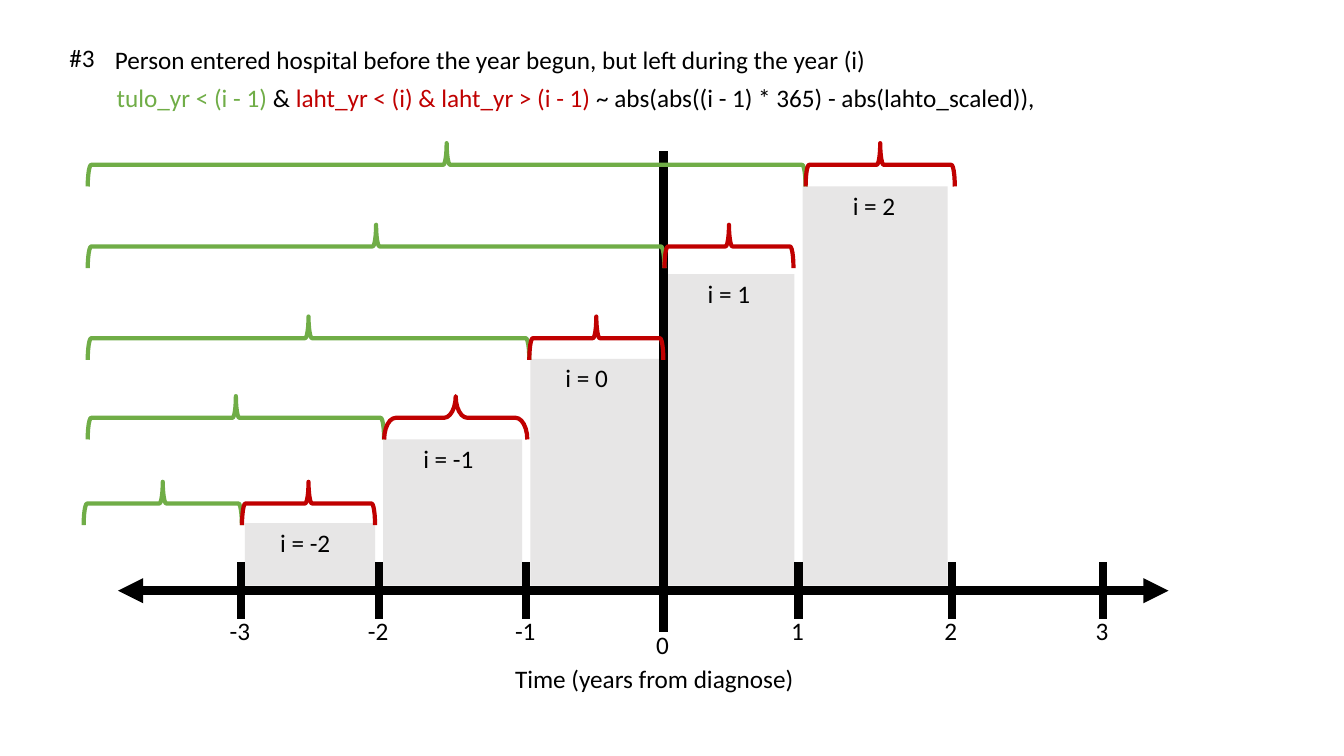
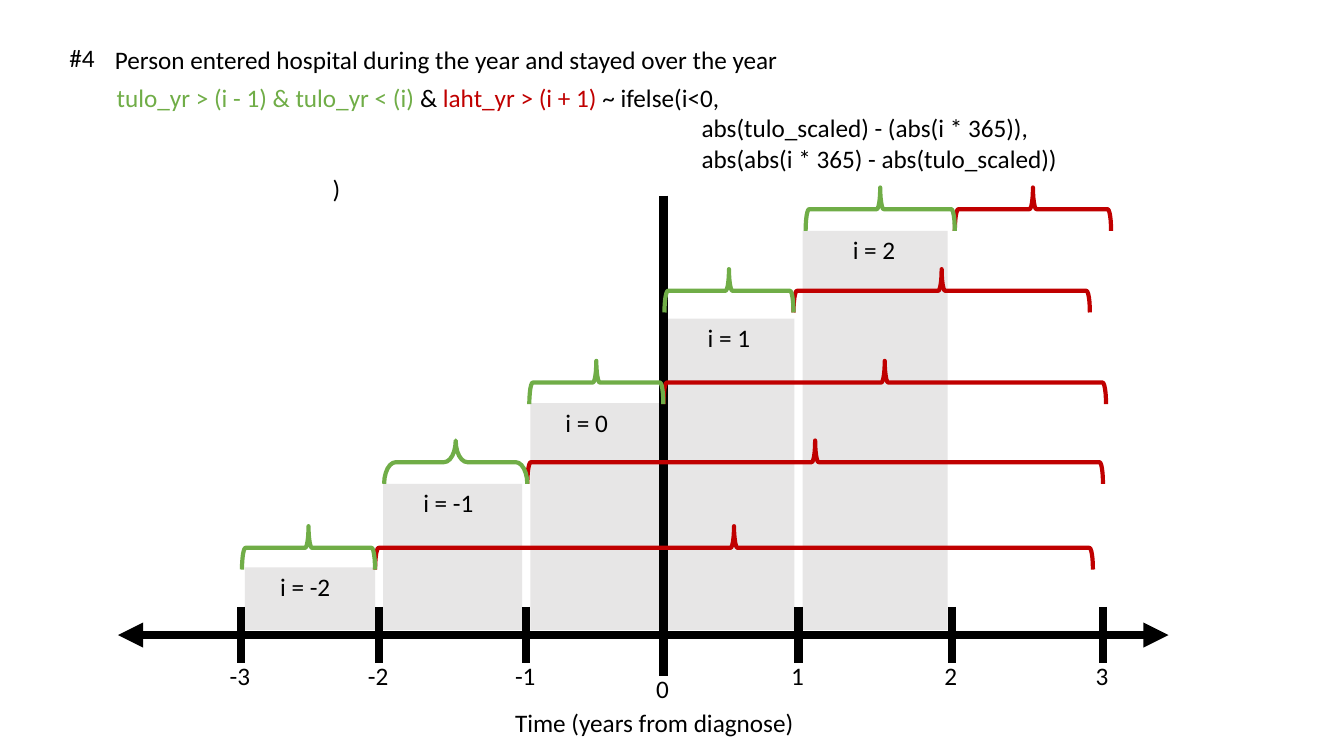
from dataclasses import dataclass

from lxml import etree
from pptx import Presentation
from pptx.dml.color import RGBColor
from pptx.enum.shapes import MSO_CONNECTOR, MSO_SHAPE
from pptx.enum.text import MSO_ANCHOR, MSO_AUTO_SIZE, PP_ALIGN
from pptx.oxml.ns import qn
from pptx.util import Inches, Pt

STRAIGHT = MSO_CONNECTOR.STRAIGHT
RECTANGLE, BRACE = MSO_SHAPE.RECTANGLE, MSO_SHAPE.RIGHT_BRACE
TOP, NO_FIT = MSO_ANCHOR.TOP, MSO_AUTO_SIZE.NONE
LEFT, CENTER = PP_ALIGN.LEFT, PP_ALIGN.CENTER
TITLE_ONLY = 5

COLORS = {"black": "000000", "entered": "70AD47", "left": "C00000", "bar": "E7E6E6"}
FONT = {"name": "Calibri", "size": Pt(18), "bold": False}
FRAME = {"word_wrap": True, "auto_size": NO_FIT, "vertical_anchor": TOP,
         "margin_left": Inches(0.1), "margin_right": Inches(0.1),
         "margin_top": Inches(0.05), "margin_bottom": Inches(0.05)}

# Lengths below are inches from the top left corner of the timeline box.
AXIS_Y, AXIS_LENGTH = 4.36, 10.42
TICKS = {-3: 1.22, -2: 2.59, -1: 4.05, 0: 5.41, 1: 6.75, 2: 8.27, 3: 9.77}
TICK_HALF, ZERO_BELOW = 0.28, 0.41
BAR_GAP, BAR_BOTTOM = 0.04, 4.31
BRACE_HEIGHT = 0.43
LINE_HEIGHT = 0.4


@dataclass
class Year:
    number: int
    bar_top: float
    label_left: float
    brace_top: float
    brace_left: float
    brace_right: float
    curve: float = 0.08


YEARS = [
    Year(-2, 3.69, 1.51, 3.28, 1.23, 2.55),
    Year(-1, 2.86, 2.93, 2.43, 2.64, 4.06, 0.27),
    Year(0, 2.06, 4.34, 1.64, 4.08, 5.41),
    Year(1, 1.22, 5.75, 0.73, 5.42, 6.7),
    Year(2, 0.35, 7.19, -0.08, 6.82, 8.3),
]

# Outer end of the long brace of each year
STAY_STARTS = [-0.34, -0.3, -0.3, -0.3, -0.3]
STAY_ENDS = [9.67, 9.77, 9.8, 9.64, 9.85]

SLIDES = [
    {
        "number": "#3",
        "title": "Person entered hospital before the year begun, but left during the year (i)",
        "formula": [
            (0, [("tulo_yr < (i - 1)", "entered"), (" & ", "black"),
                 ("laht_yr < (i) & laht_yr > (i - 1)", "left"),
                 (" ~ abs(abs((i - 1) * 365) - abs(lahto_scaled)),", "black")]),
        ],
        "top": 1.5, "outer_ends": STAY_STARTS,
        "year_color": "left", "stay_color": "entered",
    },
    {
        "number": "#4",
        "title": "Person entered hospital during the year and stayed over the year",
        "formula": [
            (0, [("tulo_yr > (i - 1) & tulo_yr < (i) ", "entered"), ("& ", "black"),
                 ("laht_yr > (i + 1) ", "left"), ("~ ifelse(i<0,", "black")]),
            (5.8, [("abs(tulo_scaled) - (abs(i * 365)),", "black")]),
            (5.8, [("abs(abs(i * 365) - abs(tulo_scaled))", "black")]),
            (2.14, [(")", "black")]),
        ],
        "top": 1.94, "outer_ends": STAY_ENDS,
        "year_color": "entered", "stay_color": "left",
    },
]


def rgb(color):
    return RGBColor.from_string(COLORS[color])


def set_all(target, values):
    for name, value in values.items():
        setattr(target, name, value)


def write(shape, lines, align=LEFT):
    """Fill a shape with lines of (indent, [(text, color), ...])."""
    frame = shape.text_frame
    set_all(frame, FRAME)
    for index, (indent, spans) in enumerate(lines):
        para = frame.paragraphs[0] if index == 0 else frame.add_paragraph()
        para.alignment = align
        if indent:
            para._p.get_or_add_pPr().set("marL", str(Inches(indent)))
        for text, color in spans:
            span = para.add_run()
            span.text = text
            set_all(span.font, FONT)
            span.font.color.rgb = rgb(color)


def add_text(slide, left, top, width, lines, align=LEFT):
    if isinstance(lines, str):
        lines = [(0, [(lines, "black")])]
    box = slide.shapes.add_textbox(Inches(left), Inches(top), Inches(width),
                                   Inches(LINE_HEIGHT * len(lines)))
    write(box, lines, align)


def add_line(slide, x1, y1, x2, y2, arrows=False):
    line = slide.shapes.add_connector(
        STRAIGHT, Inches(x1), Inches(y1), Inches(x2), Inches(y2))
    line.line.width = Pt(6)
    line.line.color.rgb = rgb("black")
    if arrows:
        outline = line.line._get_or_add_ln()
        for end in ("a:headEnd", "a:tailEnd"):
            etree.SubElement(outline, qn(end)).set("type", "triangle")
    etree.SubElement(line._element.spPr, qn("a:effectLst"))


def add_bar(slide, left, top, right, bottom):
    bar = slide.shapes.add_shape(RECTANGLE, Inches(left), Inches(top),
                                 Inches(right - left), Inches(bottom - top))
    bar.shadow.inherit = False
    bar.fill.solid()
    bar.fill.fore_color.rgb = rgb("bar")
    bar.line.fill.background()


def add_brace(slide, left, right, top, color, curve=0.08):
    """Add a brace that lies over left to right with its tip upwards."""
    length = right - left
    brace = slide.shapes.add_shape(
        BRACE, Inches((left + right - BRACE_HEIGHT) / 2),
        Inches(top + (BRACE_HEIGHT - length) / 2),
        Inches(BRACE_HEIGHT), Inches(length))
    brace.rotation = 270
    brace.adjustments[0] = curve
    brace.shadow.inherit = False
    brace.fill.background()
    brace.line.width = Pt(3)
    brace.line.color.rgb = rgb(color)


def add_heading(slide, left, top, content):
    add_text(slide, left, top, 0.6, content["number"])
    title = slide.shapes.title
    set_all(title, {"left": Inches(left + 0.45), "top": Inches(top + 0.02),
                    "width": Inches(9), "height": Inches(LINE_HEIGHT)})
    write(title, [(0, [(content["title"], "black")])])
    add_text(slide, left + 0.47, top + 0.4, 11.97, content["formula"])


def add_axis(slide, left, top):
    axis_y = top + AXIS_Y
    add_line(slide, left, axis_y, left + AXIS_LENGTH, axis_y, arrows=True)
    for number, offset in TICKS.items():
        x = left + offset
        start, end, label_top = axis_y - TICK_HALF, axis_y + TICK_HALF, axis_y + 0.2
        if number == 0:
            start, end, label_top = top, axis_y + ZERO_BELOW, axis_y + 0.33
        add_line(slide, x, start, x, end)
        add_text(slide, x - 0.31, label_top, 0.6, str(number), CENTER)
    add_text(slide, left + 3.84, axis_y + 0.67, 3.25, "Time (years from diagnose)")


def add_timeline(slide, left, top, content):
    for year in YEARS:
        add_bar(slide, left + TICKS[year.number - 1] + BAR_GAP, top + year.bar_top,
                left + TICKS[year.number] - BAR_GAP, top + BAR_BOTTOM)
    add_axis(slide, left, top)
    for year, outer_end in zip(YEARS, content["outer_ends"]):
        inner_end = year.brace_left if outer_end < year.brace_left else year.brace_right
        stay_left, stay_right = sorted((outer_end, inner_end))
        brace_top = top + year.brace_top
        add_brace(slide, left + stay_left, left + stay_right, brace_top,
                  content["stay_color"])
        add_brace(slide, left + year.brace_left, left + year.brace_right, brace_top,
                  content["year_color"], year.curve)
        add_text(slide, left + year.label_left, top + year.bar_top - 0.01, 1.16,
                 f"i = {year.number}")


def main():
    deck = Presentation()
    deck.slide_width, deck.slide_height = Inches(13.33), Inches(7.5)
    for content in SLIDES:
        slide = deck.slides.add_slide(deck.slide_layouts[TITLE_ONLY])
        add_heading(slide, 0.59, 0.37, content)
        add_timeline(slide, 1.17, content["top"], content)
    deck.save("out.pptx")


if __name__ == "__main__":
    main()
